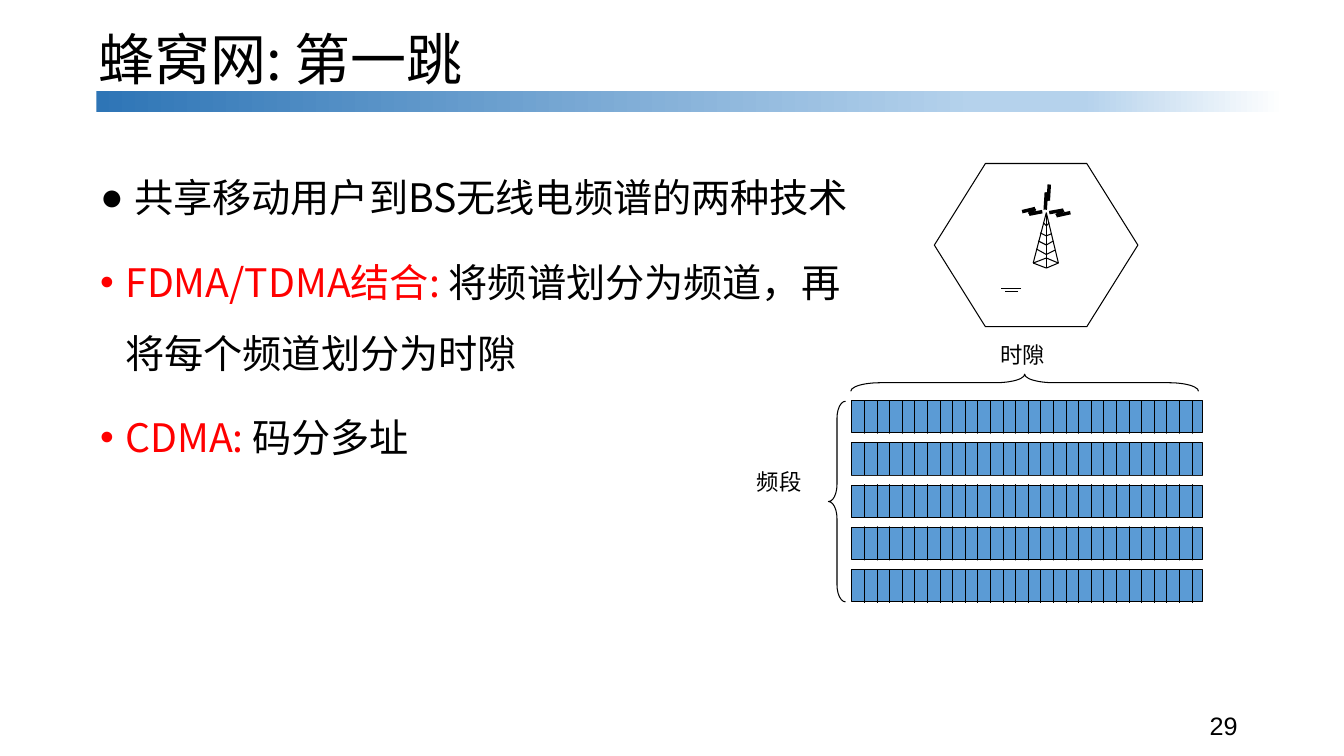
from pptx import Presentation
from pptx.dml.color import RGBColor
from pptx.enum.shapes import MSO_CONNECTOR, MSO_SHAPE as SHAPE
from pptx.enum.text import PP_ALIGN
from pptx.oxml import parse_xml
from pptx.oxml.ns import nsdecls
from pptx.util import Pt
from lxml.etree import SubElement

BLACK = RGBColor(0x00, 0x00, 0x00)
WHITE = RGBColor(0xFF, 0xFF, 0xFF)
RED = RGBColor(0xFF, 0x00, 0x00)
BLUE = RGBColor(0x5B, 0x9B, 0xD5)
NS = "{http://schemas.openxmlformats.org/drawingml/2006/main}"
CJK = "Noto Sans CJK SC"

prs = Presentation()
prs.slide_width, prs.slide_height = Pt(960), Pt(540)
s = prs.slides.add_slide(prs.slide_layouts[6])


def add_text(box, paragraphs, size, font, wrap=True):
    tf = s.shapes.add_textbox(*map(Pt, box)).text_frame
    tf.word_wrap = wrap
    for i, runs in enumerate(paragraphs):
        p = tf.paragraphs[0] if i == 0 else tf.add_paragraph()
        for text, color in runs:
            r = p.add_run()
            r.text = text
            r.font.size = Pt(size)
            r.font.color.rgb = color
            r.font.name = font
            SubElement(r.font._element, NS + "ea", typeface=font)
    return tf


def add_shape(shapes, kind, box, fill=None, line=None):
    sp = shapes.add_shape(kind, *map(Pt, box))
    sp.shadow.inherit = False
    if fill is None:
        sp.fill.background()
    else:
        sp.fill.solid()
        sp.fill.fore_color.rgb = fill
    if line is None:
        sp.line.fill.background()
    else:
        sp.line.color.rgb = line
        sp.line.width = Pt(0.75)
    return sp


# Slide number and title
add_text((856.9, 504, 71.3, 36), [[("29", BLACK)]], 18, "Arial")
tf = add_text((63.4, 19.4, 815.8, 90), [[("蜂窝网: 第一跳", BLACK)]], 40, CJK)
tf.paragraphs[0].line_spacing = 0.9

# Bulleted body
tf = add_text((64.5, 103.7, 555.8, 365.8), [
    [(" 共享移动用户到BS无线电频谱的两种技术", BLACK)],
    [("FDMA/TDMA结合: ", RED), ("将频谱划分为频道，再将每个频道划分为时隙", BLACK)],
    [("CDMA: ", RED), ("码分多址", BLACK)],
], 28, CJK)
for i, (p, bullet) in enumerate(zip(tf.paragraphs, "●••")):
    p.line_spacing = 1.5
    if i:
        p.space_before = Pt(10)
    pPr = p._p.get_or_add_pPr()
    pPr.set("marL", str(Pt(18)))
    pPr.set("indent", str(-Pt(18)))
    SubElement(pPr, NS + "buFont", typeface="Arial")
    SubElement(pPr, NS + "buChar", char=bullet)

# Cell outline
hexagon = add_shape(s.shapes, SHAPE.HEXAGON, (667.4, 116.8, 145.4, 116.6), line=BLACK)
hexagon.adjustments[0] = 0.313
hexagon.adjustments[1] = 1.155

# Line work: base-station tower, sparks, antenna bolts, ground marks
tower = [
    [(738, 187.9), (747.4, 151.9), (756, 187.9), (747.4, 191.5), (738, 187.9),
     (747.4, 184.3), (756, 187.9)],
    [(747.4, 152.6), (747.4, 191.5)],
    [(741.6, 172.1), (747.4, 175), (752.4, 172.1)],
    [(740.2, 177.8), (747.4, 181.8), (753.8, 178.6)],
    [(743, 166.3), (747.4, 168.5), (751, 167)],
    [(745.2, 159.1), (747.4, 161.3), (749.5, 159.1)],
]
sparks = [[dot, dot] for dot in ((748.8, 154.8), (746.6, 129.6), (745.9, 148.3))]
bolts = [
    [(749.5, 151.9), (759.6, 150.1), (754.6, 154.1), (764.6, 151.9)],
    [(749.5, 131.8), (748.8, 143.3), (747.4, 137.5), (746.6, 149.8)],
    [(744.5, 151.2), (735.1, 153), (739.4, 149), (730.1, 151.2)],
]
ground = [[(727.2, 208.1), (717.8, 208.1)], [(729.4, 205.9), (715, 205.9)]]

# Frequency bands cut into time slots
BAND_PITCH, SLOT_WIDTH = 30.2, 9
for i in range(5):
    add_shape(s.shapes, SHAPE.RECTANGLE, (608.4, 286.2 + i * BAND_PITCH, 250.6, 23),
              BLUE, BLACK)
slots = [[(617.5 + i * SLOT_WIDTH, 285.8), (617.5 + i * SLOT_WIDTH, 430.6)]
         for i in range(27)]

for paths, width in ((tower + sparks + ground + slots, 0.75), (bolts, 2.5)):
    for points in paths:
        for start, end in zip(points, points[1:]):
            c = s.shapes.add_connector(MSO_CONNECTOR.STRAIGHT, *map(Pt, start + end))
            c.line.color.rgb = BLACK
            c.line.width = Pt(width)
            SubElement(c._element.spPr, NS + "effectLst")

# White gaps between the bands
for i in range(4):
    add_shape(s.shapes, SHAPE.RECTANGLE, (607, 309.7 + i * BAND_PITCH, 252, 6), WHITE)

# Braces and their labels
for box, curve, angle in (((591.8, 286.6, 12.2, 143.3), 0.993, 0),
                          ((725.8, 149.2, 12.2, 248.4), 1.726, 90)):
    brace = add_shape(s.shapes, SHAPE.LEFT_BRACE, box, line=BLACK)
    brace.adjustments[0] = curve
    brace.adjustments[1] = 0.5
    brace.rotation = angle
for label, left, top in (("频段", 533.2, 331.2), ("时隙", 707, 239.8)):
    tf = add_text((left, top, 46.8, 26.6), [[(label, BLACK)]], 16, "Arial", wrap=False)
    tf.paragraphs[0].alignment = PP_ALIGN.CENTER

# Gradient rule under the title
rule = add_shape(s.shapes, SHAPE.RECTANGLE, (68.8, 65.2, 849, 15))
rule.fill.gradient()
rule.fill.gradient_angle = 0
stops = rule._element.spPr.find(NS + "gradFill").find(NS + "gsLst")
for gs in list(stops):
    stops.remove(gs)
for pos, color in ((0, "2E75B6"), (74, "B5D2EC"), (83, "B5D2EC"), (100, "FFFFFF")):
    stops.append(parse_xml(f'<a:gs {nsdecls("a")} pos="{pos * 1000}">'
                           f'<a:srgbClr val="{color}"/></a:gs>'))

prs.save("out.pptx")
